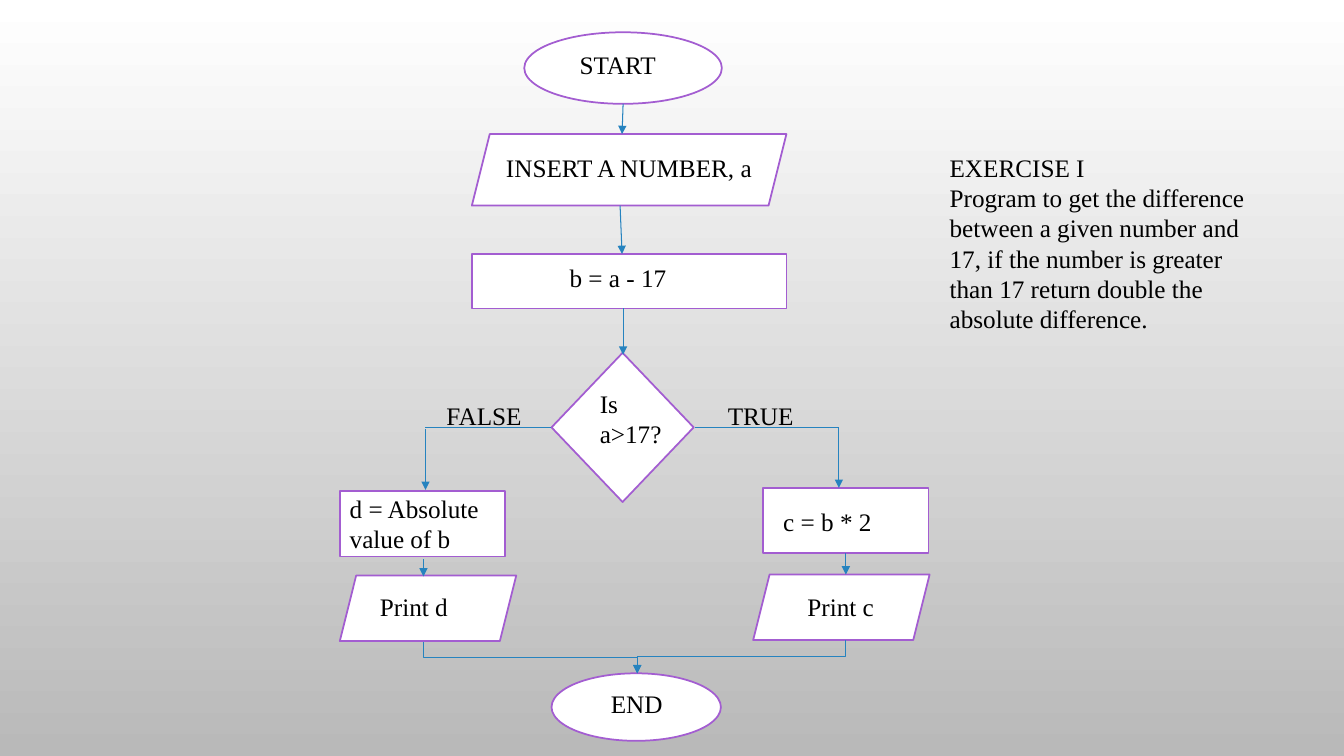
from lxml.etree import SubElement
from pptx import Presentation
from pptx.dml.color import RGBColor
from pptx.enum.shapes import MSO_CONNECTOR as Route, MSO_SHAPE as Shape
from pptx.oxml.ns import qn
from pptx.util import Inches, Pt

FONT = "Times New Roman"
WHITE, BLACK, PURPLE, BLUE, GREY = "FFFFFF", "000000", "A35DD1", "2683BF", "B9B9B9"

STEPS = [
    (Shape.OVAL, 5.2, 0.32, 1.96, 0.71),
    (Shape.PARALLELOGRAM, 4.68, 1.33, 3.12, 0.71),
    (Shape.RECTANGLE, 4.68, 2.52, 3.12, 0.54),
    (Shape.DIAMOND, 5.47, 3.5, 1.41, 1.48),
    (Shape.RECTANGLE, 7.57, 4.84, 1.64, 0.65),
    (Shape.RECTANGLE, 3.37, 4.87, 1.64, 0.65),
    (Shape.PARALLELOGRAM, 3.37, 5.71, 1.75, 0.65),
    (Shape.PARALLELOGRAM, 7.47, 5.7, 1.75, 0.65),
    (Shape.OVAL, 5.47, 6.68, 1.68, 0.67),
]
LABELS = [
    ("START", 5.65, 0.44, 1.46, 0.4),
    ("INSERT A NUMBER, a", 4.92, 1.46, 2.65, 0.71),
    ("b = a - 17", 5.55, 2.55, 1.25, 0.4),
    ("Is a>17?", 5.85, 3.8, 0.82, 0.71),
    ("TRUE", 7.12, 3.92, 0.98, 0.4),
    ("FALSE", 4.33, 3.92, 1.03, 0.4),
    ("c = b * 2", 7.67, 4.97, 1.64, 0.4),
    ("d = Absolute value of b", 3.37, 4.84, 1.64, 0.71),
    ("Print d", 3.67, 5.82, 1.45, 0.4),
    ("Print c", 7.91, 5.82, 0.97, 0.4),
    ("END", 5.96, 6.78, 0.96, 0.71),
]
ARROWS = [
    (6.18, 1.03, 6.17, 1.33),
    (6.15, 2.04, 6.17, 2.52),
    (6.18, 3.06, 6.18, 3.52),
    (8.32, 4.24, 8.32, 4.84),
    (4.22, 4.26, 4.22, 4.86),
    (8.39, 5.49, 8.39, 5.7),
    (4.2, 5.55, 4.2, 5.72),
]
BRANCHES = [(6.89, 4.24, 8.32, 4.24), (5.47, 4.24, 4.22, 4.24)]
MERGES = [(4.2, 6.37, 6.32, 6.68), (8.39, 6.35, 6.32, 6.68)]
EXERCISE = (
    "EXERCISE I\nProgram to get the difference between a given number and 17, "
    "if the number is greater than 17 return double the absolute difference."
)


def color(hex_code):
    return RGBColor.from_string(hex_code)


def paint_background(slide):
    fill = slide.background.fill
    fill.gradient()
    fill.gradient_angle = 270
    for stop, shade in zip(fill.gradient_stops, (WHITE, GREY)):
        stop.color.rgb = color(shade)


def add_step(slide, kind, *box):
    step = slide.shapes.add_shape(kind, *map(Inches, box))
    step.shadow.inherit = False
    step.fill.solid()
    step.fill.fore_color.rgb = color(WHITE)
    step.line.color.rgb = color(PURPLE)
    step.line.width = Pt(1.25)


def add_label(slide, wording, *box):
    frame = slide.shapes.add_textbox(*map(Inches, box)).text_frame
    frame.word_wrap = True
    frame.text = wording
    for paragraph in frame.paragraphs:
        for run in paragraph.runs:
            run.font.name = FONT
            run.font.size = Pt(18)
            run.font.color.rgb = color(BLACK)


def add_flow(slide, *ends, route=Route.STRAIGHT, arrow=True):
    flow = slide.shapes.add_connector(route, *map(Inches, ends))
    flow.line.color.rgb = color(BLUE)
    flow.line.width = Pt(0.75)
    if arrow:
        SubElement(flow.line._get_or_add_ln(), qn("a:tailEnd"), type="triangle")
    SubElement(flow._element.spPr, qn("a:effectLst"))
    return flow


def add_merge(slide, x1, y1, x2, y2):
    side = 1 if x2 > x1 else -1
    center_x, center_y = (x1 + x2) / 2, (y1 + y2) / 2
    half_width, half_height = side * (y2 - y1) / 2, abs(x2 - x1) / 2
    merge = add_flow(
        slide,
        center_x + half_width, center_y - half_height,
        center_x - half_width, center_y + half_height,
        route=Route.ELBOW,
    )
    turn = 270 if side > 0 else 90
    merge._element.spPr.find(qn("a:xfrm")).set("rot", str(turn * 60000))


def main():
    deck = Presentation()
    deck.slide_width, deck.slide_height = Inches(13.33), Inches(7.5)
    slide = deck.slides.add_slide(deck.slide_layouts[6])
    paint_background(slide)
    for step in STEPS:
        add_step(slide, *step)
    for arrow in ARROWS:
        add_flow(slide, *arrow)
    for branch in BRANCHES:
        add_flow(slide, *branch, arrow=False)
    for merge in MERGES:
        add_merge(slide, *merge)
    for label in LABELS:
        add_label(slide, *label)
    add_label(slide, EXERCISE, 9.32, 1.46, 3.22, 2.52)
    deck.save("out.pptx")


if __name__ == "__main__":
    main()
